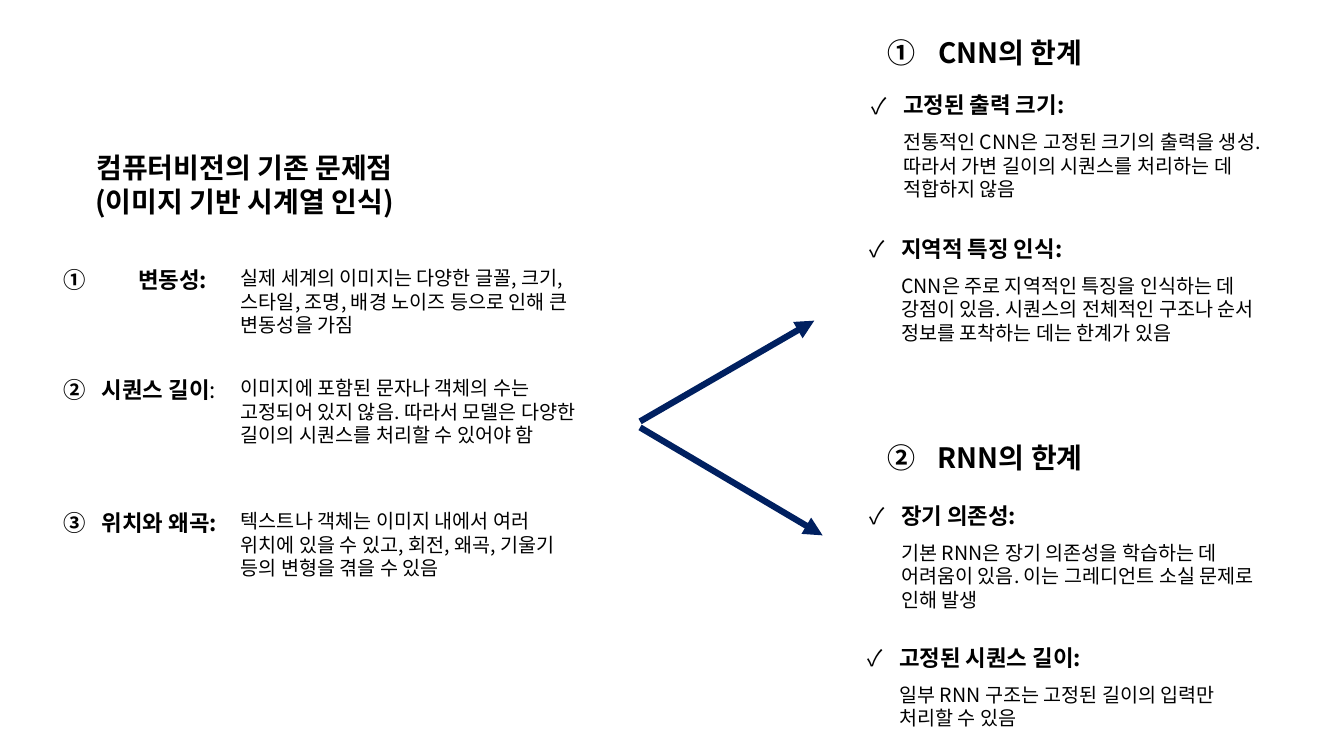
"""Build a slide on the limits of CNN and RNN for image-based sequence recognition."""
from lxml.etree import SubElement
from pptx import Presentation
from pptx.dml.color import RGBColor
from pptx.enum.shapes import MSO_CONNECTOR
from pptx.enum.text import MSO_AUTO_SIZE, PP_ALIGN
from pptx.oxml.ns import qn
from pptx.util import Cm, Pt

FONT = "Noto Sans CJK KR"
BLACK = RGBColor(0, 0, 0)
NAVY = RGBColor(0x00, 0x20, 0x60)

TITLE = ["컴퓨터비전의 기존 문제점", "(이미지 기반 시계열 인식)"]
PROBLEMS = [
    (6.58, 2.06, 1.88, 9.55, "변동성", True,
     "실제 세계의 이미지는 다양한 글꼴, 크기, 스타일, 조명, 배경 노이즈 등으로 인해 큰 변동성을 가짐"),
    (9.35, 2.64, 0.97, 9.07, "시퀀스 길이", False,
     "이미지에 포함된 문자나 객체의 수는 고정되어 있지 않음. 따라서 모델은 다양한 길이의 시퀀스를 처리할 수 있어야 함"),
    (12.7, 2.06, 0.97, 9.07, "위치와 왜곡", True,
     "텍스트나 객체는 이미지 내에서 여러 위치에 있을 수 있고, 회전, 왜곡, 기울기 등의 변형을 겪을 수 있음"),
]
MODELS = [(0.76, "CNN의 한계"), (10.97, "RNN의 한계")]
LIMITS = [
    (21.72, 2.18, 2.06, "고정된 출력 크기:",
     "전통적인 CNN은 고정된 크기의 출력을 생성. 따라서 가변 길이의 시퀀스를 처리하는 데 적합하지 않음"),
    (21.67, 5.79, 2.06, "지역적 특징 인식:",
     "CNN은 주로 지역적인 특징을 인식하는 데 강점이 있음. 시퀀스의 전체적인 구조나 순서 정보를 포착하는 데는 한계가 있음"),
    (21.67, 12.52, 2.06, "장기 의존성:",
     "기본 RNN은 장기 의존성을 학습하는 데 어려움이 있음. 이는 그레디언트 소실 문제로 인해 발생"),
    (21.62, 16.1, 1.45, "고정된 시퀀스 길이:",
     "일부 RNN 구조는 고정된 길이의 입력만 처리할 수 있음"),
]
ARROWS = [(16.13, 10.62, 20.52, 8.08), (16.13, 10.77, 20.73, 13.49)]

PROBLEM_LEFT, PROBLEM_BODY_LEFT = 1.35, 5.82
LIMIT_WIDTH, LIMIT_INDENT, LIMIT_BODY_DROP = 9.55, 0.79, 0.98


def add_text(slide, box, lines, size, bold=False, align=PP_ALIGN.LEFT):
    """Add a wrapped text box and return its paragraphs."""
    frame = slide.shapes.add_textbox(*map(Cm, box)).text_frame
    frame.word_wrap = True
    frame.auto_size = MSO_AUTO_SIZE.SHAPE_TO_FIT_TEXT
    frame.text = "\n".join(lines)
    for paragraph in frame.paragraphs:
        paragraph.alignment = align
        for run in paragraph.runs:
            format_run(run, size, bold)
    return frame.paragraphs


def format_run(run, size, bold):
    """Apply the slide font to a run."""
    run.font.name = FONT
    run.font.size = Pt(size)
    run.font.bold = bold
    run.font.color.rgb = BLACK
    SubElement(run.font._element, qn("a:ea"), typeface=FONT)


def add_bullet(paragraph, indent, number=None):
    """Give a paragraph a circled number, or a check mark without one."""
    properties = paragraph._p.get_or_add_pPr()
    properties.set("marL", str(Cm(indent)))
    properties.set("indent", str(-Cm(indent)))
    SubElement(properties, qn("a:buFont"), typeface=FONT)
    if number:
        SubElement(properties, qn("a:buAutoNum"), type="circleNumDbPlain", startAt=str(number))
    else:
        SubElement(properties, qn("a:buChar"), char="✓")


def add_arrow(slide, ends):
    """Add a thick navy arrow."""
    arrow = slide.shapes.add_connector(MSO_CONNECTOR.STRAIGHT, *map(Cm, ends))
    arrow.line.color.rgb = NAVY
    arrow.line.width = Pt(4.5)
    SubElement(arrow.line._get_or_add_ln(), qn("a:tailEnd"), type="triangle")
    SubElement(arrow._element.spPr, qn("a:effectLst"))


def main():
    """Lay out the slide and save it."""
    presentation = Presentation()
    presentation.slide_width, presentation.slide_height = Cm(33.87), Cm(19.05)
    slide = presentation.slides.add_slide(presentation.slide_layouts[6])

    add_text(slide, (1.63, 3.68, 9.07, 1.96), TITLE, 20, True, PP_ALIGN.CENTER)
    for number, (top, height, indent, width, label, bold_colon, body) in enumerate(PROBLEMS, 1):
        paragraph = add_text(slide, (PROBLEM_LEFT, top, 4.83, 0.94), [label], 16, True)[0]
        colon = paragraph.add_run()
        colon.text = ":"
        format_run(colon, 16, bold_colon)
        add_bullet(paragraph, indent, number)
        add_text(slide, (PROBLEM_BODY_LEFT, top, width, height), [body], 14)

    for number, (top, heading) in enumerate(MODELS, 1):
        paragraph = add_text(slide, (20.29, top, 9.07, 1.1), [heading], 20, True, PP_ALIGN.CENTER)[0]
        add_bullet(paragraph, 1.27, number)
    for left, top, height, label, body in LIMITS:
        add_bullet(add_text(slide, (left, top, LIMIT_WIDTH, 0.94), [label], 16, True)[0], LIMIT_INDENT)
        body_box = (left + LIMIT_INDENT, top + LIMIT_BODY_DROP, LIMIT_WIDTH, height)
        add_text(slide, body_box, [body], 14)

    for ends in ARROWS:
        add_arrow(slide, ends)
    presentation.save("out.pptx")


if __name__ == "__main__":
    main()
